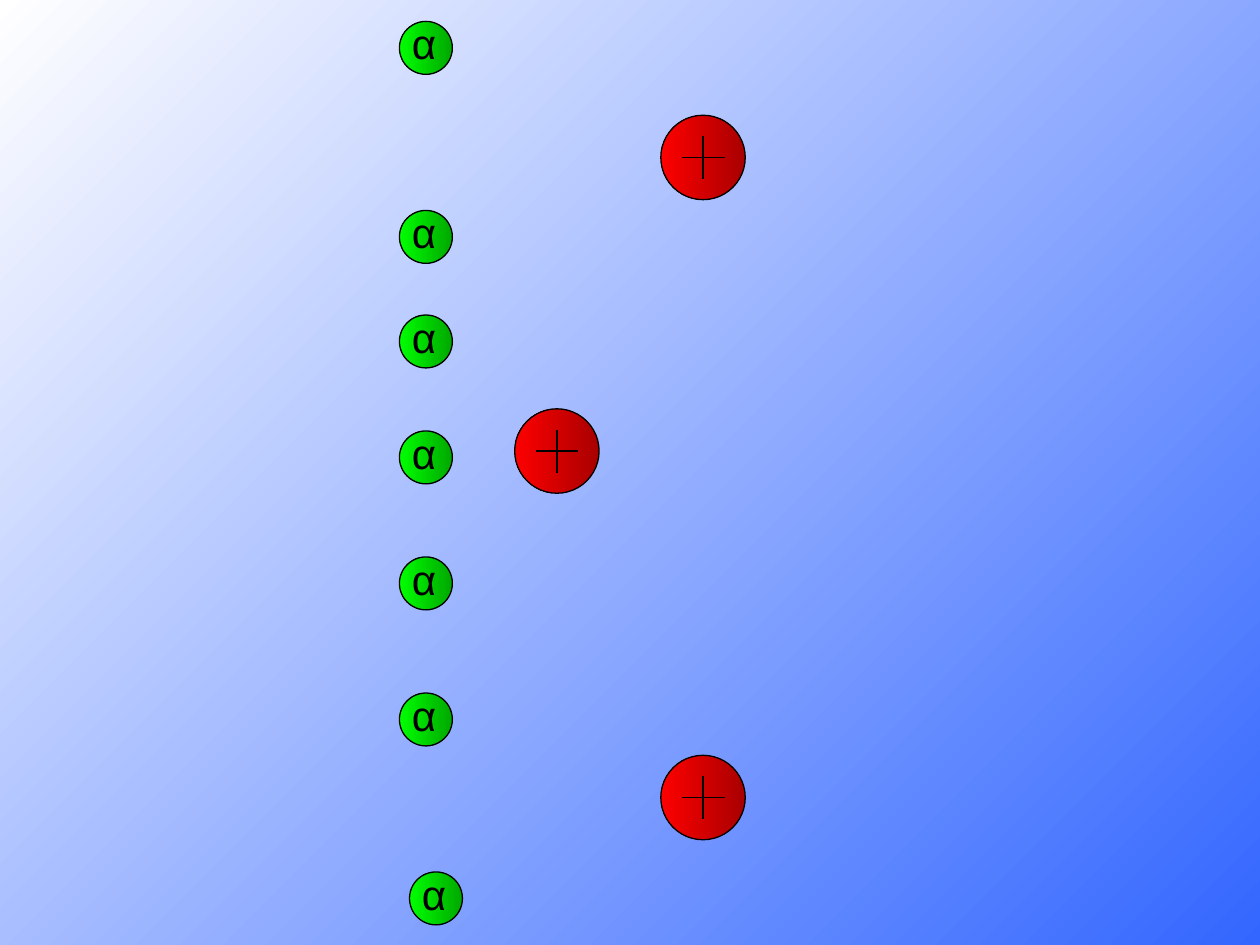
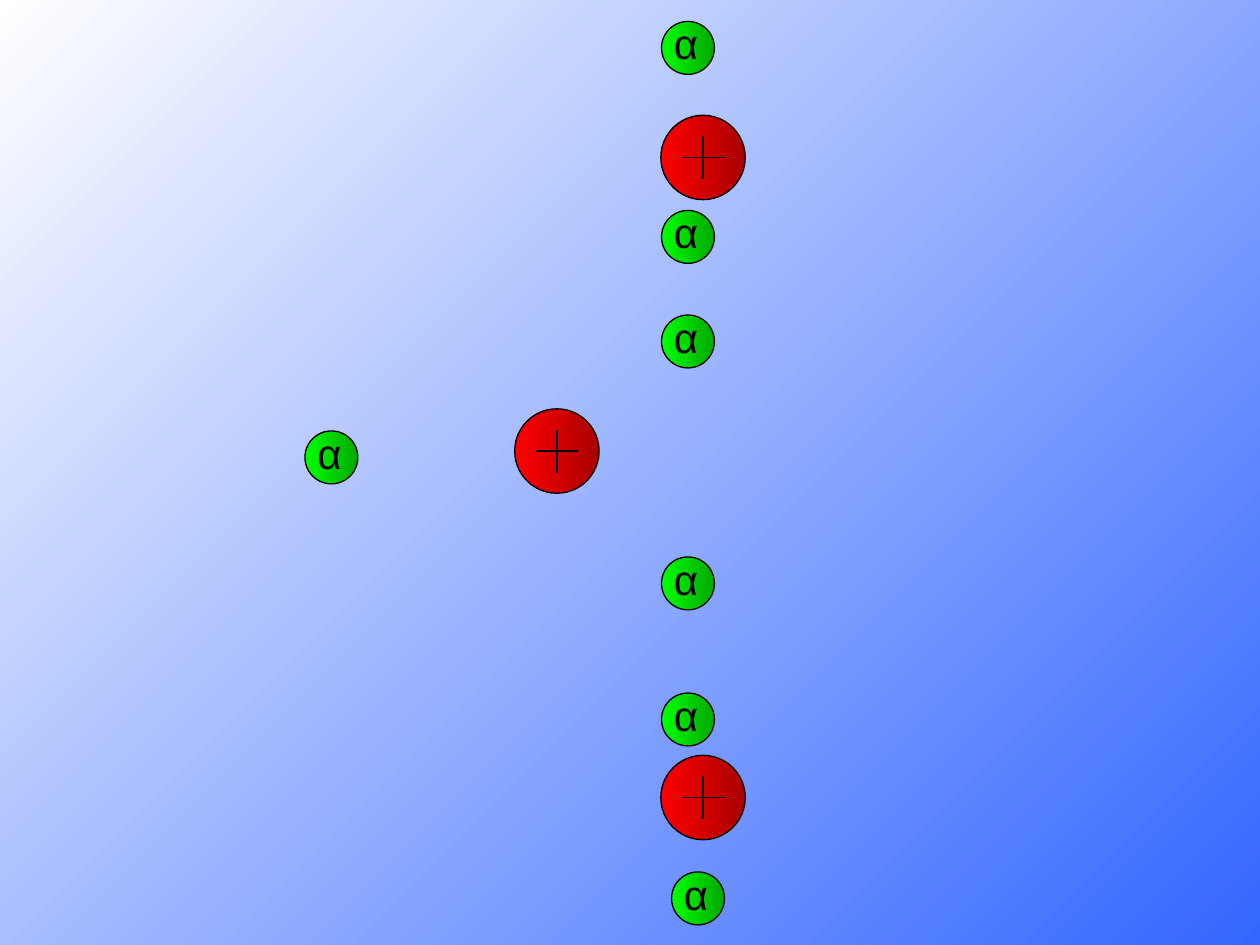
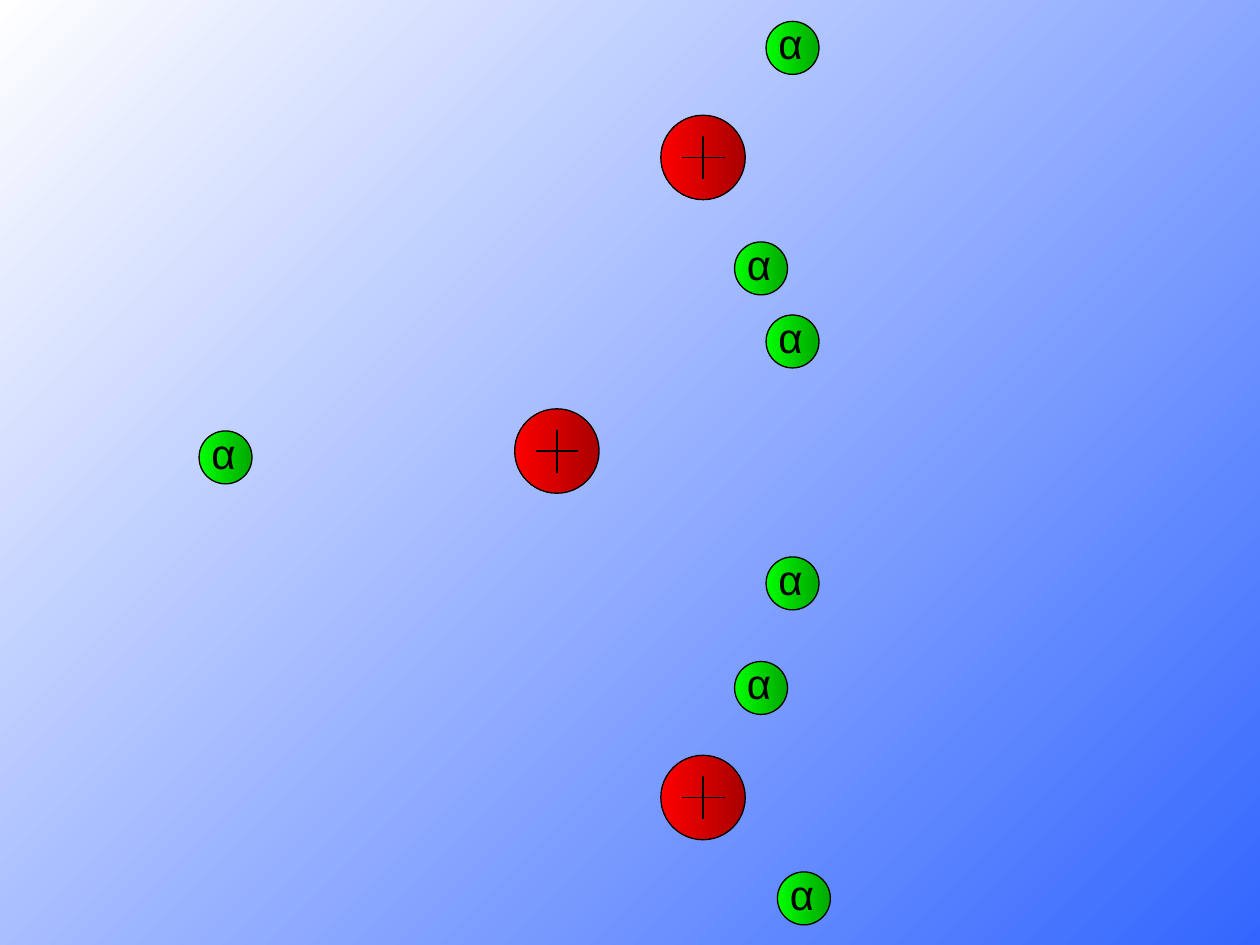
from dataclasses import dataclass

from lxml.etree import SubElement
from pptx import Presentation
from pptx.dml.color import RGBColor
from pptx.enum.shapes import MSO_CONNECTOR, MSO_SHAPE
from pptx.enum.text import MSO_AUTO_SIZE
from pptx.oxml.ns import qn
from pptx.util import Inches, Pt

# Centres of the fixed nuclei, the same on every slide
NUCLEI = [(5.58, 1.25), (4.42, 3.58), (5.58, 6.33)]

# Left and top of each alpha particle as the beam moves on
BEAM_STAGES = [
    {"grouped": True,
     "alphas": [(3.17, 5.5), (3.17, 3.42), (3.17, 1.67), (3.25, 6.92),
                (3.17, 0.17), (3.17, 4.42), (3.17, 2.5)]},
    {"grouped": False,
     "alphas": [(5.25, 5.5), (2.42, 3.42), (5.25, 1.67), (5.33, 6.92),
                (5.25, 0.17), (5.25, 4.42), (5.25, 2.5)]},
    {"grouped": False,
     "alphas": [(5.83, 5.25), (1.58, 3.42), (5.83, 1.92), (6.17, 6.92),
                (6.08, 0.17), (6.08, 4.42), (6.08, 2.5)]},
]

NUCLEUS_SIZE = 0.67
PLUS_ARM = 0.17
ALPHA_SIZE = 0.42
LABEL_WIDTH, LABEL_HEIGHT = 0.41, 0.5
LABEL_RISE = 0.08


@dataclass(frozen=True)
class Theme:
    background: tuple = ("3366FF", "FFFFFF")
    nucleus: tuple = ("A80000", "FF0000")
    alpha: tuple = ("00A800", "00FF00")
    ink: RGBColor = RGBColor(0, 0, 0)
    outline: Pt = Pt(0.75)
    font: str = "Arial"
    label_size: Pt = Pt(24)


THEME = Theme()


def fill_gradient(fill, colours, angle):
    """Blend two colours; the angle runs counter-clockwise in degrees."""
    fill.gradient()
    fill.gradient_angle = angle
    for stop, position, colour in zip(fill.gradient_stops, (0, 1), colours):
        stop.position = position
        stop.color.rgb = RGBColor.from_string(colour)


def draw_outline(line):
    line.color.rgb = THEME.ink
    line.width = THEME.outline


def add_ball(shapes, left, top, size, colours):
    ball = shapes.add_shape(MSO_SHAPE.OVAL, Inches(left), Inches(top),
                            Inches(size), Inches(size))
    ball.shadow.inherit = False
    fill_gradient(ball.fill, colours, 180)
    draw_outline(ball.line)


def add_nucleus(shapes, x, y):
    nucleus = shapes.add_group_shape().shapes
    add_ball(nucleus, x - NUCLEUS_SIZE / 2, y - NUCLEUS_SIZE / 2,
             NUCLEUS_SIZE, THEME.nucleus)
    for dx, dy in ((0, PLUS_ARM), (PLUS_ARM, 0)):
        stroke = nucleus.add_connector(
            MSO_CONNECTOR.STRAIGHT, Inches(x - dx), Inches(y - dy),
            Inches(x + dx), Inches(y + dy))
        draw_outline(stroke.line)
        SubElement(stroke._element.spPr, qn("a:effectLst"))


def add_alpha(shapes, left, top):
    add_ball(shapes, left, top, ALPHA_SIZE, THEME.alpha)
    label = shapes.add_textbox(Inches(left), Inches(top - LABEL_RISE),
                               Inches(LABEL_WIDTH), Inches(LABEL_HEIGHT))
    frame = label.text_frame
    frame.text = "α"
    frame.word_wrap = False
    frame.auto_size = MSO_AUTO_SIZE.SHAPE_TO_FIT_TEXT
    font = frame.paragraphs[0].runs[0].font
    font.name = THEME.font
    font.size = THEME.label_size
    font.color.rgb = THEME.ink


def main():
    deck = Presentation()
    deck.slide_width, deck.slide_height = Inches(10), Inches(7.5)
    fill_gradient(deck.slide_master.background.fill, THEME.background, 135)
    blank = deck.slide_layouts[6]

    for stage in BEAM_STAGES:
        shapes = deck.slides.add_slide(blank).shapes
        for x, y in NUCLEI:
            add_nucleus(shapes, x, y)
        beam = shapes.add_group_shape().shapes if stage["grouped"] else shapes
        for left, top in stage["alphas"]:
            add_alpha(beam, left, top)

    deck.save("out.pptx")


if __name__ == "__main__":
    main()
